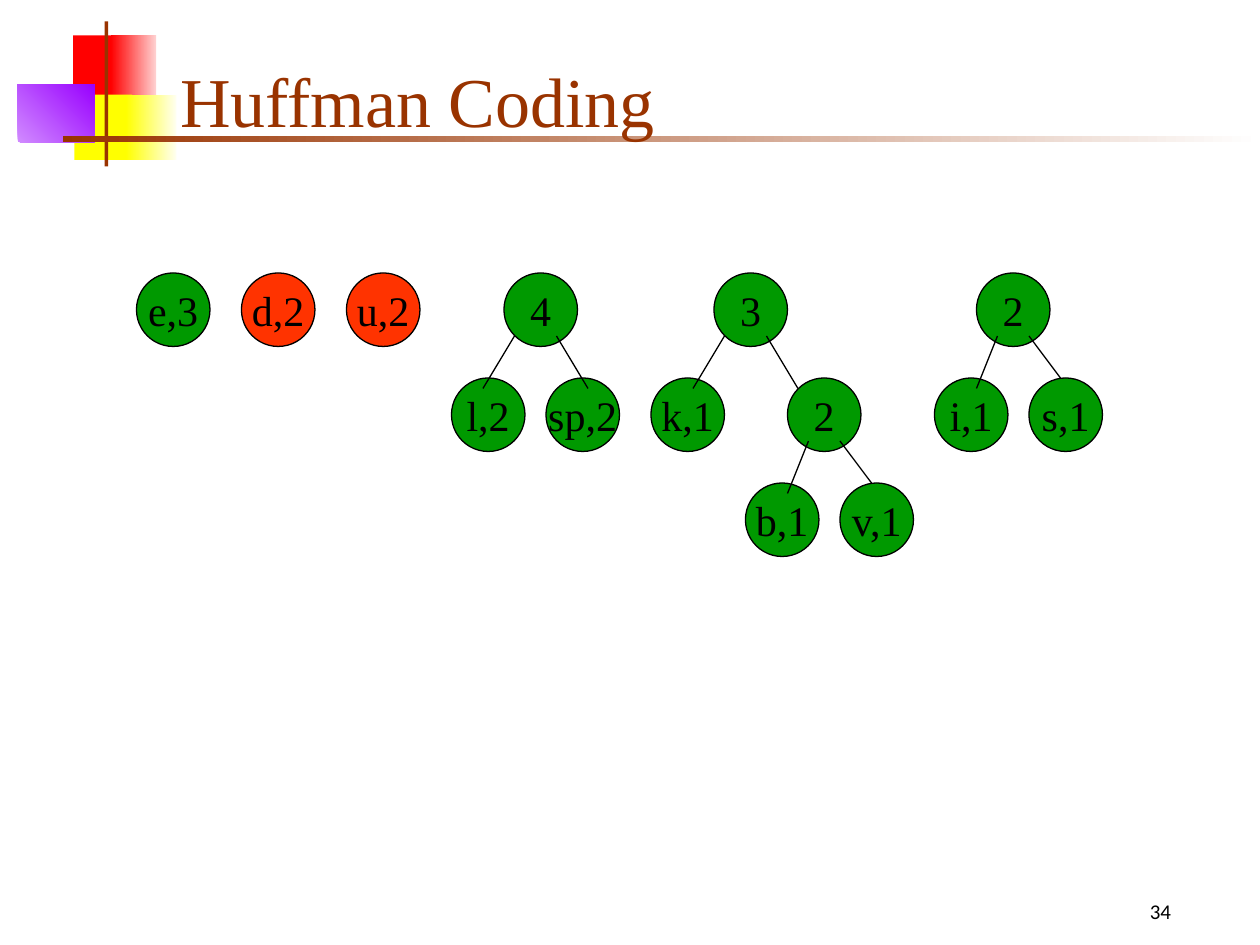
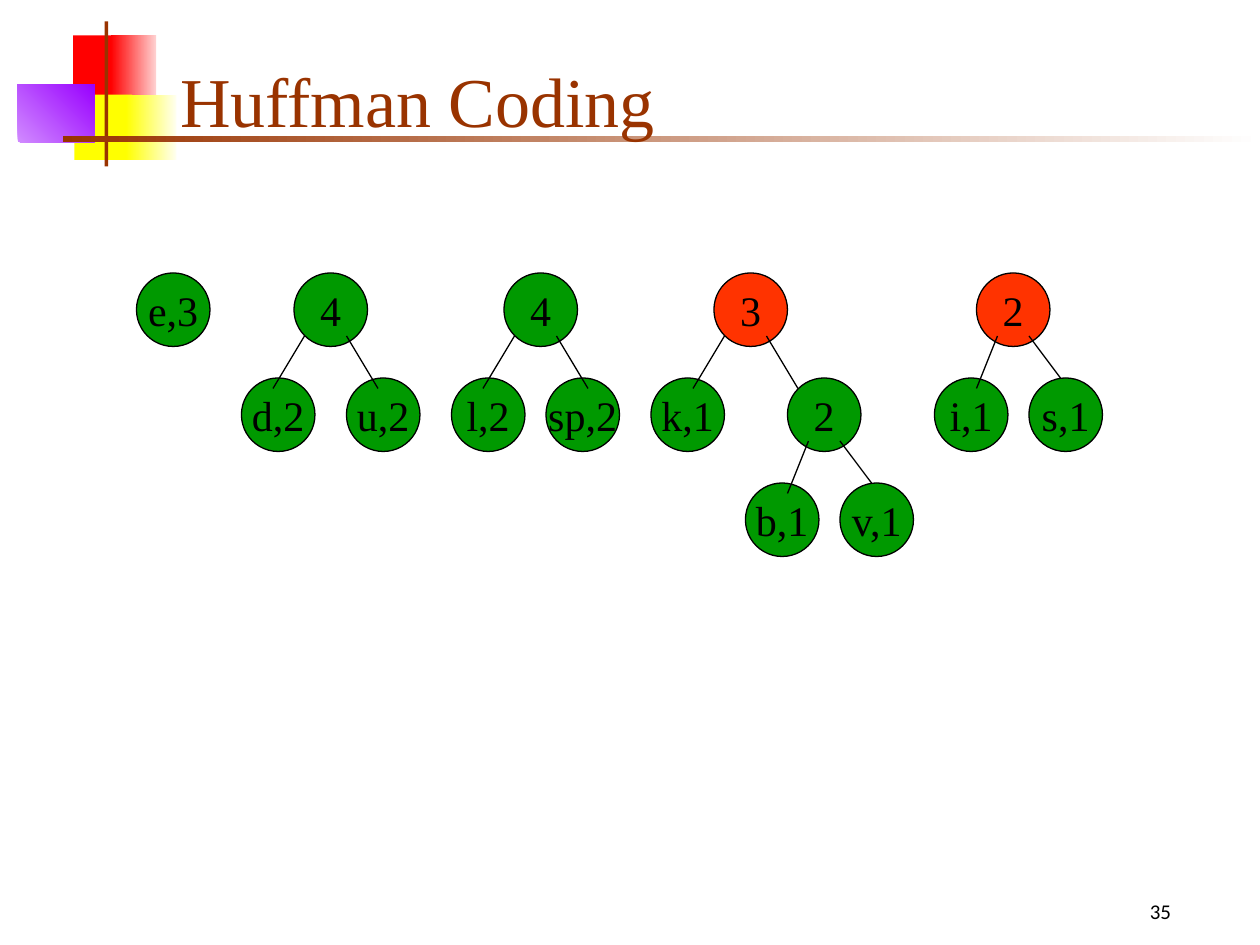
from lxml import etree
from pptx import Presentation
from pptx.dml.color import RGBColor
from pptx.enum.shapes import MSO_CONNECTOR, MSO_SHAPE
from pptx.enum.text import MSO_ANCHOR, MSO_AUTO_SIZE, PP_ALIGN
from pptx.oxml.ns import qn
from pptx.util import Inches, Pt

RECTANGLE, OVAL = MSO_SHAPE.RECTANGLE, MSO_SHAPE.OVAL
STRAIGHT = MSO_CONNECTOR.STRAIGHT
LEFT, CENTER = PP_ALIGN.LEFT, PP_ALIGN.CENTER
MIDDLE, BOTTOM = MSO_ANCHOR.MIDDLE, MSO_ANCHOR.BOTTOM
FIXED, GROW = MSO_AUTO_SIZE.NONE, MSO_AUTO_SIZE.SHAPE_TO_FIT_TEXT

COLORS = {
    "black": "000000", "white": "FFFFFF", "brown": "993300",
    "red": "FF0000", "pale red": "FFD1D1",
    "yellow": "FFFF00", "pale yellow": "FFFFF0",
    "violet": "9900FF", "pale violet": "D18BFF",
    "node": "009900", "merging": "FF3300",
}
SERIF, SANS = "Times New Roman", "Calibri"

BANDS = [
    ((0.58, 0.28, 0.35, 0.52), ["red"], 0),
    ((0.88, 0.28, 0.36, 0.52), ["red", "pale red"], 0),
    ((0.59, 0.75, 0.46, 0.52), ["yellow"], 0),
    ((1, 0.75, 0.4, 0.52), ["yellow", "pale yellow"], 0),
    ((0.14, 0.67, 0.61, 0.46), ["pale violet", "violet"], 45),
    ((0.83, 0.17, 0.03, 1.15), ["brown"], 0),
    ((0.5, 1.08, 9.5, 0.05), ["brown", "white"], 0),
]
TITLE_PLACE = (1.33, 0.25, 8.52, 0.92)
NUMBER_PLACE = (8.67, 7.08, 1.08, 0.33)

UNIT = 1 / 12
DIAMETER = 7
TOP_ROW, ROW_STEP = 26, 10
EDGE_START = 6
EDGES = {
    "wide": [(1, -2, 11), (5, 8, 11)],
    "narrow": [(2, 0, 11), (5, 8, 10)],
}


def leaf(label, column):
    return {"label": label, "column": column, "edges": [], "children": []}


def tree(label, column, spread, *children):
    return {"label": label, "column": column, "edges": EDGES[spread], "children": children}


SHARED_TREES = [
    tree("4", 48, "wide", leaf("l,2", 43), leaf("sp,2", 52)),
    tree("3", 68, "wide", leaf("k,1", 62),
         tree("2", 75, "narrow", leaf("b,1", 71), leaf("v,1", 80))),
    tree("2", 93, "narrow", leaf("i,1", 89), leaf("s,1", 98)),
]
LEAF_E, LEAF_D, LEAF_U = leaf("e,3", 13), leaf("d,2", 23), leaf("u,2", 33)
SLIDES = [
    {"title": "Huffman Coding", "number": "34", "merging": ["d,2", "u,2"],
     "forest": [LEAF_E, LEAF_D, LEAF_U, *SHARED_TREES]},
    {"title": "Huffman Coding", "number": "35", "merging": ["3", "2"],
     "forest": [LEAF_E, tree("4", 28, "wide", LEAF_D, LEAF_U), *SHARED_TREES]},
]


def color(name):
    return RGBColor.from_string(COLORS[name])


def inches(lengths):
    return [Inches(length) for length in lengths]


def units(*counts):
    return inches(count * UNIT for count in counts)


def write(frame, text, size, font=SERIF, ink="black", align=CENTER, anchor=None,
          wrap=True, fit=FIXED, before=0):
    frame.word_wrap = wrap
    frame.auto_size = fit
    if anchor is not None:
        frame.vertical_anchor = anchor
    para = frame.paragraphs[0]
    para.alignment = align
    para.space_before = Pt(before)
    span = para.add_run()
    span.text = text
    span.font.name = font
    span.font.size = Pt(size)
    span.font.color.rgb = color(ink)


def add_band(page, place, inks, angle):
    band = page.shapes.add_shape(RECTANGLE, *inches(place))
    band.shadow.inherit = False
    band.line.fill.background()
    if len(inks) == 1:
        band.fill.solid()
        band.fill.fore_color.rgb = color(inks[0])
    else:
        band.fill.gradient()
        band.fill.gradient_angle = angle
        for stop, ink in zip(band.fill.gradient_stops, inks):
            stop.color.rgb = color(ink)
    return band


def prepare_layout(layout, page):
    title, *footers = layout.placeholders
    for footer in footers:
        layout.shapes.element.remove(footer.element)
    title.left, title.top, title.width, title.height = inches(TITLE_PLACE)
    bands = [add_band(page, *band) for band in BANDS]
    for band in bands:
        title.element.addprevious(band.element)


def add_node(page, label, column, row, fill):
    node = page.shapes.add_shape(OVAL, *units(column, row, DIAMETER, DIAMETER))
    node.shadow.inherit = False
    node.fill.solid()
    node.fill.fore_color.rgb = color(fill)
    node.line.color.rgb = color("black")
    node.line.width = Pt(0.74)
    write(node.text_frame, label, 24, anchor=MIDDLE, wrap=False)


def add_edge(page, *ends):
    edge = page.shapes.add_connector(STRAIGHT, *units(*ends))
    edge.line.color.rgb = color("black")
    edge.line.width = Pt(0.74)
    etree.SubElement(edge.element.spPr, qn("a:effectLst"))


def draw_tree(page, node, row=TOP_ROW, fill="node"):
    for child in node["children"]:
        draw_tree(page, child, row + ROW_STEP)
    column = node["column"]
    add_node(page, node["label"], column, row, fill)
    for start, end, drop in node["edges"]:
        add_edge(page, column + start, row + EDGE_START, column + end, row + drop)


deck = Presentation()
deck.slide_width, deck.slide_height = Inches(10), Inches(7.5)
title_only = deck.slide_layouts[5]
pages = [deck.slides.add_slide(title_only) for content in SLIDES]
prepare_layout(title_only, pages[0])

for page, content in zip(pages, SLIDES):
    write(page.shapes.title.text_frame, content["title"], 40, ink="brown",
          align=LEFT, anchor=BOTTOM)
    box = page.shapes.add_textbox(*inches(NUMBER_PLACE))
    write(box.text_frame, content["number"], 12, font=SANS, fit=GROW, before=7.5)
    for root in content["forest"]:
        fill = "merging" if root["label"] in content["merging"] else "node"
        draw_tree(page, root, fill=fill)

deck.save("out.pptx")
